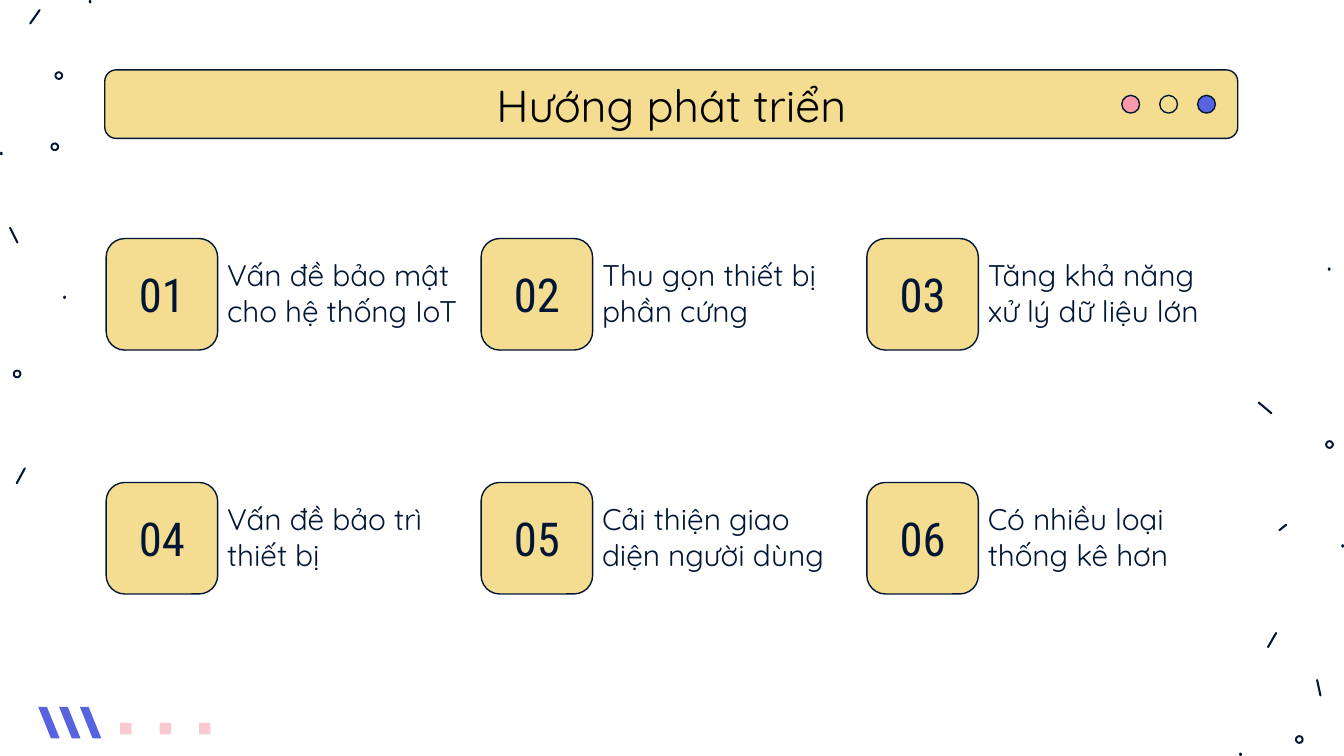
from lxml.etree import SubElement
from pptx import Presentation
from pptx.dml.color import RGBColor as Rgb
from pptx.enum.shapes import MSO_CONNECTOR as Link, MSO_SHAPE as Kind
from pptx.enum.text import MSO_ANCHOR as Anchor, MSO_AUTO_SIZE as Auto, PP_ALIGN as Align
from pptx.oxml.ns import qn
from pptx.util import Inches, Pt

NAVY = Rgb(0x01, 0x16, 0x35)
BLACK = Rgb(0x00, 0x00, 0x00)
GOLD = Rgb(0xF4, 0xDC, 0x90)
PINK = Rgb(0xF9, 0x9A, 0xAA)
PALE = Rgb(0xF9, 0xCA, 0xD2)
BLUE = Rgb(0x58, 0x63, 0xE0)

deck = Presentation()
deck.slide_width = Inches(10)
deck.slide_height = Inches(5.625)
unit = deck.slide_width // 100
slide = deck.slides.add_slide(deck.slide_layouts[5])
shapes = slide.shapes


def draw(kind, x, y, w, h, fill, line=None):
    shape = shapes.add_shape(kind, *(int(v * unit) for v in (x, y, w, h)))
    shape.shadow.inherit = False
    shape.fill.solid()
    shape.fill.fore_color.rgb = fill
    if line:
        shape.line.color.rgb = line
        shape.line.width = Pt(0.75)
    else:
        shape.line.fill.background()
    return shape


def write(shape, text, size, face, color, align, anchor):
    frame = shape.text_frame
    frame.word_wrap = True
    frame.auto_size = Auto.NONE
    frame.vertical_anchor = anchor
    frame.margin_left = frame.margin_right = 0
    frame.margin_top = frame.margin_bottom = 0
    frame.text = text
    para = frame.paragraphs[0]
    para.alignment = align
    para.font.size = Pt(size)
    para.font.name = face
    para.font.color.rgb = color


dashes = [
    (2.95, 0.75, 2.25, 1.75), (0.75, 16.95, 1.3, 18.05),
    (1.85, 34.85, 1.25, 35.95), (93.65, 29.95, 94.6, 30.75),
    (98, 50.6, 98.25, 51.75), (94.95, 47.1, 94.35, 48.15),
    (95.7, 39.05, 95.2, 39.45),
]
for ends in dashes:
    dash = shapes.add_connector(Link.STRAIGHT, *(int(v * unit) for v in ends))
    dash.line.color.rgb = NAVY
    dash.line.width = Pt(1.1)
    dash.line._get_or_add_ln().set("cap", "rnd")
    SubElement(dash._element.spPr, qn("a:effectLst"))

for x, y in [(4.05, 5.3), (0.95, 27.5), (3.75, 10.6), (98.6, 32.75), (96.35, 54.7)]:
    ring = draw(Kind.DONUT, x, y, 0.65, 0.65, NAVY)
    ring.adjustments[0] = 0.23

for x, y in [(4.7, 22), (6.6, 0), (0, 11.3), (99.8, 40.5), (92.2, 56), (98.8, 19.9)]:
    draw(Kind.OVAL, x, y, 0.2, 0.25, NAVY)

for i in range(3):
    draw(Kind.RECTANGLE, 8.95 + 2.93 * i, 53.8, 0.85, 0.85, PALE)
    x = 2.85 + 1.55 * i
    edge = [(x, 52.6), (x + 0.65, 52.6), (x + 1.6, 54.95), (x + 0.95, 54.95)]
    dots = [(int(a * unit), int(b * unit)) for a, b in edge]
    path = shapes.build_freeform(*dots[0])
    path.add_line_segments(dots[1:])
    slant = path.convert_to_shape()
    slant.shadow.inherit = False
    slant.fill.solid()
    slant.fill.fore_color.rgb = BLUE
    slant.line.fill.background()

bar = draw(Kind.ROUNDED_RECTANGLE, 7.8, 5.2, 84.3, 5.1, GOLD, NAVY)
title = shapes.title
title.left, title.top, title.width, title.height = bar.left, bar.top, bar.width, bar.height
write(title, "Hướng phát triển", 24, "Quicksand", BLACK, Align.CENTER, Anchor.MIDDLE)
shapes._spTree.append(title._element)

for i, fill in enumerate([PINK, GOLD, BLUE]):
    draw(Kind.OVAL, 83.47 + 2.82 * i, 7.1, 1.32, 1.32, fill, NAVY)

items = [
    "Vấn đề bảo mật cho hệ thống IoT",
    "Thu gọn thiết bị phần cứng",
    "Tăng khả năng xử lý dữ liệu lớn",
    "Vấn đề bảo trì thiết bị",
    "Cải thiện giao diện người dùng",
    "Có nhiều loại thống kê hơn",
]
cols = [7.9, 35.8, 64.5]
rows = [17.75, 35.9]
for i, item in enumerate(items):
    x, y = cols[i % 3], rows[i // 3]
    tile = draw(Kind.ROUNDED_RECTANGLE, x, y, 8.3, 8.3, GOLD, NAVY)
    write(tile, f"{i + 1:02}", 25, "Roboto Condensed", NAVY, Align.CENTER, Anchor.MIDDLE)
    note = shapes.add_textbox(*(int(v * unit) for v in (x + 9, y + 1.35, 17.7, 6.5)))
    write(note, item, 16, "Quicksand", NAVY, Align.LEFT, Anchor.TOP)

deck.save("out.pptx")
